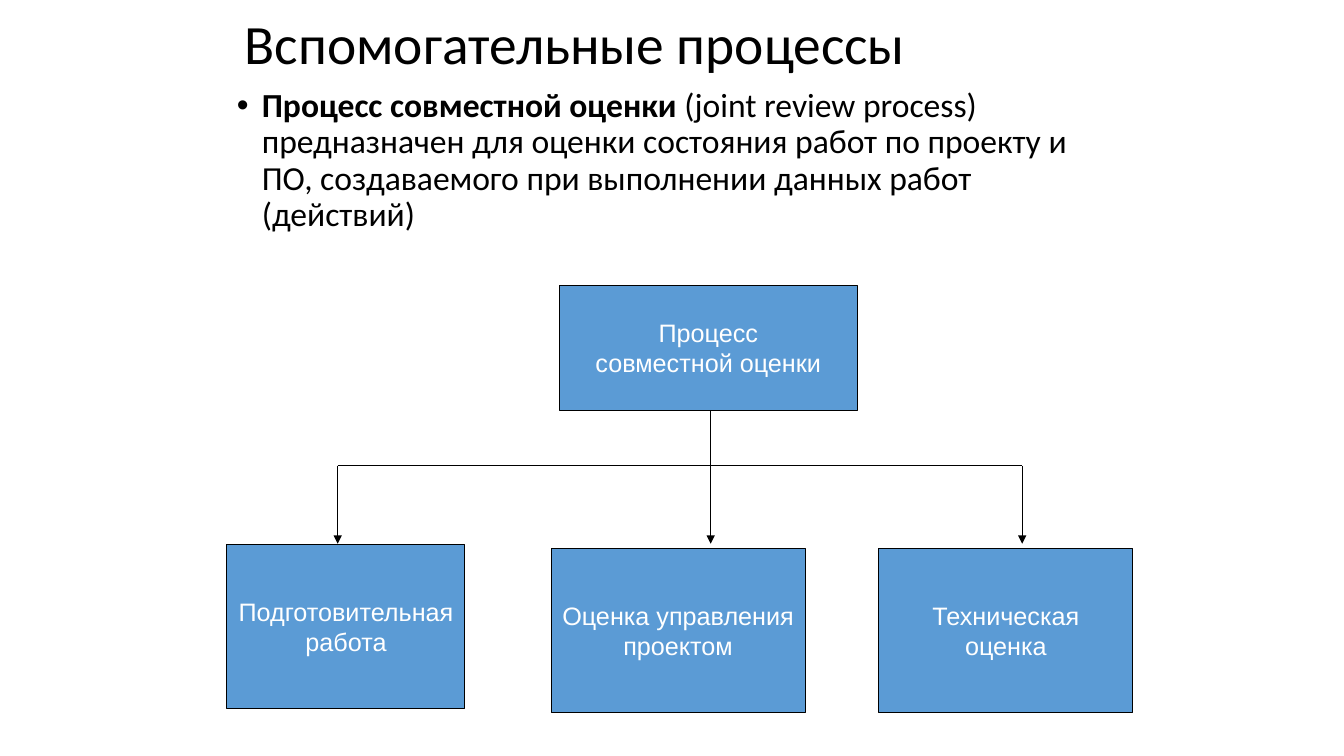
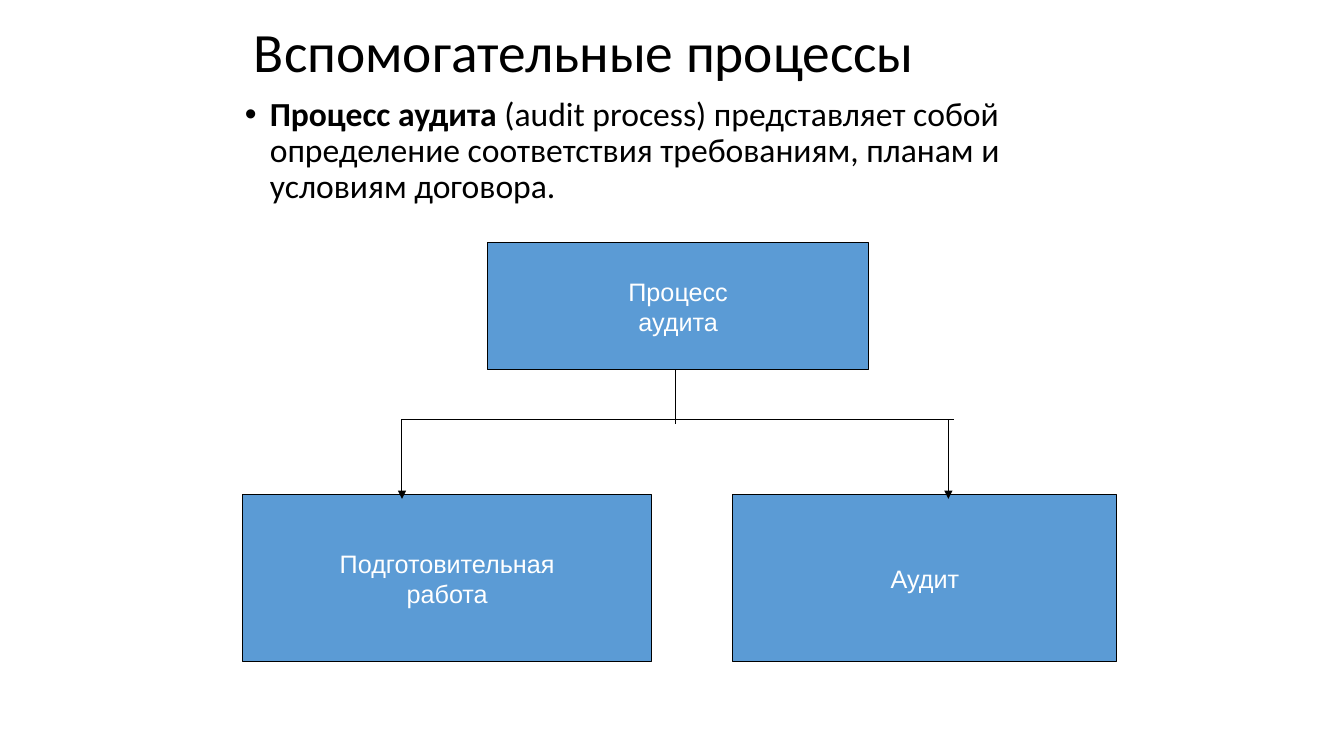
from lxml import etree
from pptx import Presentation
from pptx.dml.color import RGBColor
from pptx.enum import shapes, text
from pptx.oxml import ns
from pptx.util import Cm, Pt

COLORS = {"fill": "5B9BD5", "ink": "000000", "label": "FFFFFF"}
TEXT_WIDTH = 21.59


def color(name):
    return RGBColor.from_string(COLORS[name])


def style_font(font, name, size, ink):
    font.name, font.size = name, Pt(size)
    font.color.rgb = color(ink)


def add_text_box(page, left, top, height, anchor):
    box = page.shapes.add_textbox(Cm(left), Cm(top), Cm(TEXT_WIDTH), Cm(height))
    frame = box.text_frame
    frame.word_wrap = True
    frame.vertical_anchor = anchor
    para = frame.paragraphs[0]
    para.line_spacing = 0.9
    return para


def add_title(page, left, top, height):
    para = add_text_box(page, left, top, height, text.MSO_ANCHOR.MIDDLE)
    para.text = "Вспомогательные процессы"
    style_font(para.font, "Calibri", 39.6, "ink")


def add_definition(page, left, top, height, term, meaning):
    para = add_text_box(page, left, top, height, text.MSO_ANCHOR.TOP)
    # Hanging bullet
    props = para._p.get_or_add_pPr()
    props.set("marL", str(Cm(0.63)))
    props.set("indent", str(Cm(-0.63)))
    etree.SubElement(props, ns.qn("a:buFont")).set("typeface", "Arial")
    etree.SubElement(props, ns.qn("a:buChar")).set("char", "•")
    style_font(para.font, "Calibri", 24, "ink")
    # Bold term, then its meaning
    for words, bold in ((term, True), (meaning, False)):
        span = para.add_run()
        span.text = words
        span.font.bold = bold


def add_block(page, left, top, width, height, lines):
    box = page.shapes.add_shape(shapes.MSO_SHAPE.RECTANGLE,
                                Cm(left), Cm(top), Cm(width), Cm(height))
    box.shadow.inherit = False
    box.fill.solid()
    box.fill.fore_color.rgb = color("fill")
    box.line.color.rgb = color("ink")
    box.line.width = Pt(0.75)
    frame = box.text_frame
    frame.word_wrap = False
    frame.vertical_anchor = text.MSO_ANCHOR.MIDDLE
    frame.text = "\n".join(lines)
    for para in frame.paragraphs:
        para.alignment = text.PP_ALIGN.CENTER
        style_font(para.font, "Arial", 18, "label")


def add_line(page, x1, y1, x2, y2, arrow=False):
    line = page.shapes.add_connector(shapes.MSO_CONNECTOR.STRAIGHT,
                                     Cm(x1), Cm(y1), Cm(x2), Cm(y2))
    line.line.color.rgb = color("ink")
    line.line.width = Pt(0.75)
    if arrow:
        outline = line.line._get_or_add_ln()
        etree.SubElement(outline, ns.qn("a:tailEnd")).set("type", "triangle")
    etree.SubElement(line._element.spPr, ns.qn("a:effectLst"))


def add_branches(page, stem, bar, drops, drop_end):
    """Draw a stem (x, top, bottom), a bar (left, right, y) and arrows down."""
    stem_x, stem_top, stem_bottom = stem
    bar_left, bar_right, bar_y = bar
    add_line(page, bar_left, bar_y, bar_right, bar_y)
    add_line(page, stem_x, stem_top, stem_x, stem_bottom)
    for x in drops:
        add_line(page, x, bar_y, x, drop_end, arrow=True)


def add_page(deck):
    return deck.slides.add_slide(deck.slide_layouts[6])


def add_review_page(deck):
    page = add_page(deck)
    add_block(page, 14.1, 7.19, 7.5, 3.15, ["Процесс", "совместной оценки"])
    add_block(page, 5.72, 13.72, 6, 4.14, ["Подготовительная", "работа"])
    for left, lines in ((13.89, ["Оценка управления", "проектом"]),
                        (22.15, ["Техническая", "оценка"])):
        add_block(page, left, 13.82, 6.4, 4.14, lines)
    add_branches(page, (17.91, 10.34, 11.73), (8.51, 25.76, 11.73),
                 (8.51, 17.91, 25.76), 13.7)
    add_title(page, 5.92, 0.43, 1.47)
    add_definition(page, 5.72, 2.11, 5.5, "Процесс совместной оценки",
                   " (joint review process) предназначен для оценки состояния "
                   "работ по проекту и ПО, создаваемого при выполнении данных "
                   "работ (действий)")


def add_audit_page(deck):
    page = add_page(deck)
    add_block(page, 12.29, 6.12, 9.6, 3.2, ["Процесс", "аудита"])
    add_block(page, 6.12, 12.47, 10.3, 4.2, ["Подготовительная", "работа"])
    add_block(page, 18.47, 12.47, 9.68, 4.2, ["Аудит"])
    add_branches(page, (17.02, 9.32, 10.69), (10.13, 24.05, 10.57),
                 (10.13, 23.9), 12.57)
    add_title(page, 6.15, 0.43, 1.88)
    add_definition(page, 5.92, 2.33, 3.4, "Процесс аудита",
                   " (audit process) представляет собой определение "
                   "соответствия требованиям, планам и условиям договора.")


def main():
    deck = Presentation()
    deck.slide_width, deck.slide_height = Cm(33.87), Cm(19.05)
    add_review_page(deck)
    add_audit_page(deck)
    deck.save("out.pptx")


if __name__ == "__main__":
    main()
